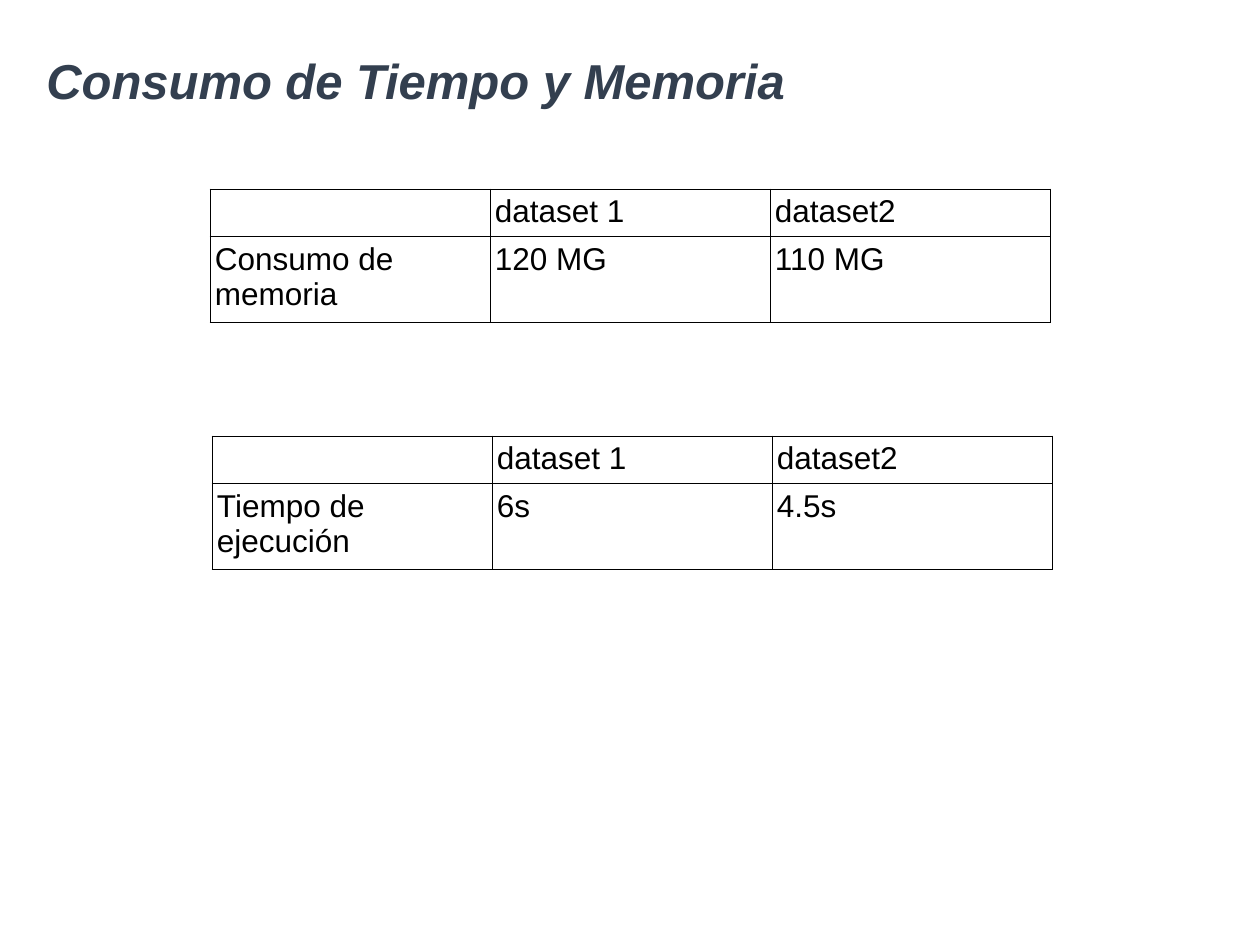
from dataclasses import dataclass

from lxml.etree import SubElement
from pptx import Presentation
from pptx.dml.color import RGBColor
from pptx.enum.text import MSO_ANCHOR
from pptx.oxml.ns import qn
from pptx.slide import Slide
from pptx.table import _Cell
from pptx.util import Emu, Pt

PX_PER_INCH = 126


@dataclass(frozen=True)
class Theme:
    font: str = "Arial"
    title_color: str = "333F4F"
    text_color: str = "000000"
    border_color: str = "000000"
    title_size: int = 28
    cell_size: int = 18
    border_width: float = 0.5


@dataclass(frozen=True)
class ResultTable:
    left: int
    top: int
    rows: tuple[tuple[str, ...], ...]


THEME = Theme()
COL_WIDTH = 280
ROW_HEIGHTS = (45, 80)
CELL_INSET = 5
HEADER = ("", "dataset 1", "dataset2")
TABLES = (
    ResultTable(210, 189, (HEADER, ("Consumo de memoria", "120 MG", "110 MG"))),
    ResultTable(212, 436, (HEADER, ("Tiempo de ejecución", "6s", "4.5s"))),
)


def px(n: int) -> Emu:
    return Emu(round(n * 914400 / PX_PER_INCH))


def add_title(s: Slide, text: str) -> None:
    sp = s.shapes.add_textbox(px(34), px(42), px(1086), px(84))
    tf = sp.text_frame
    tf.word_wrap = True
    tf.vertical_anchor = MSO_ANCHOR.MIDDLE
    tf.text = text
    p = tf.paragraphs[0]
    p.line_spacing = 0.9
    font = p.runs[0].font
    font.name = THEME.font
    font.size = Pt(THEME.title_size)
    font.bold = font.italic = True
    font.color.rgb = RGBColor.from_string(THEME.title_color)


def add_borders(cell: _Cell) -> None:
    tc_pr = cell._tc.get_or_add_tcPr()
    for side in ("lnL", "lnR", "lnT", "lnB"):
        ln = SubElement(tc_pr, qn(f"a:{side}"), w=str(Pt(THEME.border_width)))
        fill = SubElement(ln, qn("a:solidFill"))
        SubElement(fill, qn("a:srgbClr"), val=THEME.border_color)


def fill_cell(cell: _Cell, text: str) -> None:
    cell.margin_left = cell.margin_right = px(CELL_INSET)
    cell.margin_top = cell.margin_bottom = px(CELL_INSET)
    add_borders(cell)
    cell.fill.background()
    if not text:
        return
    cell.text_frame.text = text
    font = cell.text_frame.paragraphs[0].runs[0].font
    font.name = THEME.font
    font.size = Pt(THEME.cell_size)
    font.color.rgb = RGBColor.from_string(THEME.text_color)


def add_result_table(s: Slide, spec: ResultTable) -> None:
    n_cols = len(HEADER)
    tbl = s.shapes.add_table(
        len(spec.rows), n_cols, px(spec.left), px(spec.top),
        px(COL_WIDTH * n_cols), px(sum(ROW_HEIGHTS)),
    ).table
    tbl.first_row = tbl.horz_banding = False
    for col in tbl.columns:
        col.width = px(COL_WIDTH)
    for i, (height, texts) in enumerate(zip(ROW_HEIGHTS, spec.rows)):
        tbl.rows[i].height = px(height)
        for j, text in enumerate(texts):
            fill_cell(tbl.cell(i, j), text)


def main() -> None:
    prs = Presentation()
    prs.slide_width, prs.slide_height = px(1260), px(945)
    s = prs.slides.add_slide(prs.slide_layouts[6])
    add_title(s, "Consumo de Tiempo y Memoria")
    for table in TABLES:
        add_result_table(s, table)
    prs.save("out.pptx")


if __name__ == "__main__":
    main()
